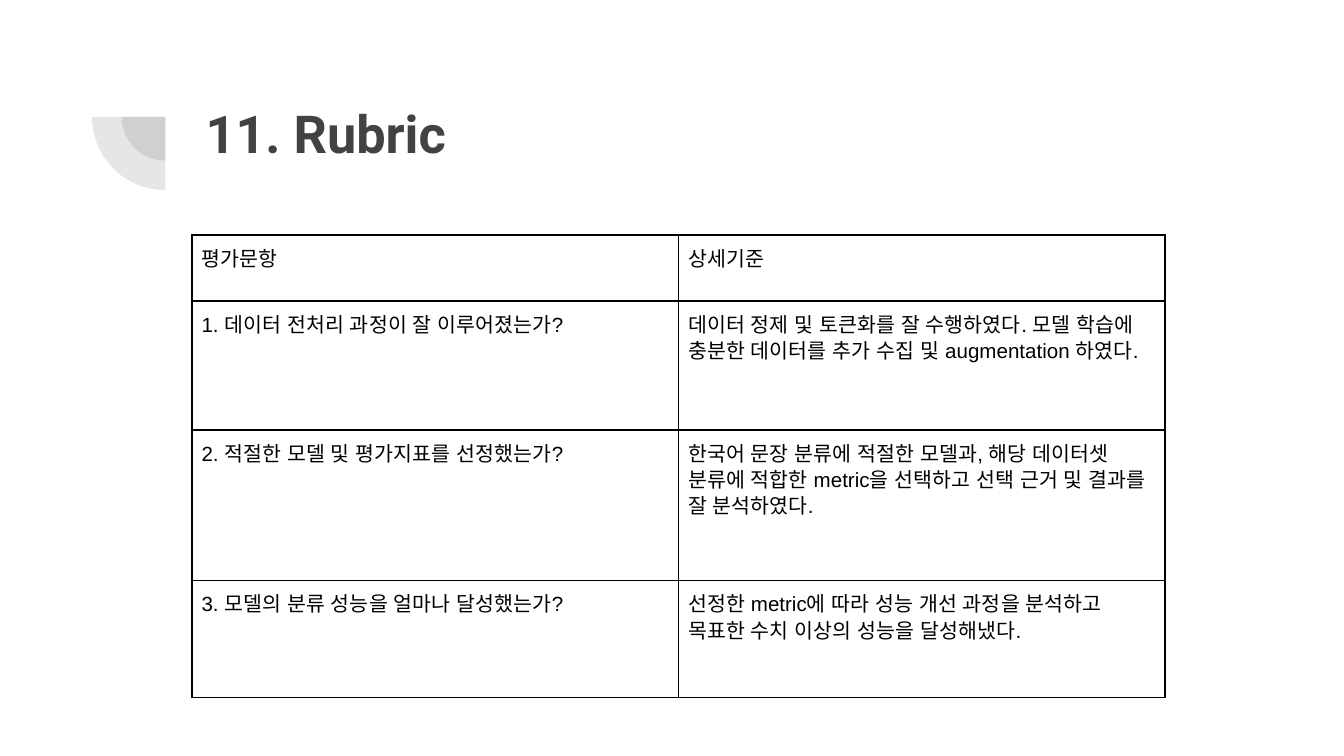
from dataclasses import dataclass

from lxml import etree
from pptx import Presentation
from pptx import util as u
from pptx.dml.color import RGBColor
from pptx.enum import shapes, text
from pptx.oxml.ns import qn


@dataclass(frozen=True)
class Theme:
    dark: RGBColor = RGBColor(0x42, 0x42, 0x42)
    ink: RGBColor = RGBColor(0, 0, 0)
    title_font: str = "Roboto"
    body_font: str = "Arial"
    title_size: int = 28
    body_size: int = 11
    line_spacing: float = 1.15
    border_width: int = 1
    ornament_alpha: int = 13  # percent


class SlideBuilder:
    def __init__(self, slide, theme):
        self.slide = slide
        self.theme = theme

    def style(self, paragraph, font, size, color, bold=False):
        paragraph.font.name = font
        paragraph.font.size = u.Pt(size)
        paragraph.font.color.rgb = color
        paragraph.font.bold = bold
        # The same face for Hangul
        defaults = paragraph._p.pPr.find(qn("a:defRPr"))
        etree.SubElement(defaults, qn("a:ea"), typeface=font)

    def title(self, wording, left, top, width, height):
        heading = self.slide.shapes.title
        heading.left, heading.top = u.Inches(left), u.Inches(top)
        heading.width, heading.height = u.Inches(width), u.Inches(height)
        frame = heading.text_frame
        frame.text = wording
        frame.word_wrap = True
        frame.vertical_anchor = text.MSO_ANCHOR.TOP
        frame.margin_left = frame.margin_right = u.Inches(0.1)
        frame.margin_top = frame.margin_bottom = u.Inches(0.1)
        line = frame.paragraphs[0]
        line.alignment = text.PP_ALIGN.LEFT
        self.style(line, self.theme.title_font, self.theme.title_size,
                   self.theme.dark, bold=True)

    def quarter_disc(self, center_x, center_y, diameter):
        """Translucent lower-left quarter of a disc."""
        disc = self.slide.shapes.add_shape(
            shapes.MSO_SHAPE.PIE,
            u.Inches(center_x - diameter / 2), u.Inches(center_y - diameter / 2),
            u.Inches(diameter), u.Inches(diameter))
        disc.adjustments[0], disc.adjustments[1] = 108, 162  # 180 to 270 degrees
        disc.rotation = 270
        disc.shadow.inherit = False
        disc.line.fill.background()
        disc.fill.solid()
        disc.fill.fore_color.rgb = self.theme.dark
        color = disc.fill._xPr.find(f".//{qn('a:srgbClr')}")
        etree.SubElement(color, qn("a:alpha"),
                         val=str(self.theme.ornament_alpha * 1000))

    def cell(self, cell, wording):
        cell.text = wording
        cell.margin_left = cell.margin_right = u.Inches(0.07)
        cell.margin_top = cell.margin_bottom = u.Inches(0.07)
        line = cell.text_frame.paragraphs[0]
        line.line_spacing = self.theme.line_spacing
        self.style(line, self.theme.body_font, self.theme.body_size, self.theme.ink)
        # Borders come before the fill in the cell properties
        properties = cell._tc.get_or_add_tcPr()
        for side in ("a:lnL", "a:lnR", "a:lnT", "a:lnB"):
            border = etree.SubElement(properties, qn(side),
                                      w=str(u.Pt(self.theme.border_width)))
            paint = etree.SubElement(border, qn("a:solidFill"))
            etree.SubElement(paint, qn("a:srgbClr"), val=str(self.theme.ink))
        cell.fill.background()

    def table(self, rows, left, top, column_widths, row_heights):
        grid = self.slide.shapes.add_table(
            len(rows), len(column_widths), u.Inches(left), u.Inches(top),
            u.Inches(sum(column_widths)), u.Inches(sum(row_heights))).table
        grid.first_row = grid.horz_banding = False
        for column, width in zip(grid.columns, column_widths):
            column.width = u.Inches(width)
        for row, height, wordings in zip(grid.rows, row_heights, rows):
            row.height = u.Inches(height)
            for cell, wording in zip(row.cells, wordings):
                self.cell(cell, wording)


RUBRIC = [
    ("평가문항", "상세기준"),
    ("1. 데이터 전처리 과정이 잘 이루어졌는가?",
     "데이터 정제 및 토큰화를 잘 수행하였다. 모델 학습에 충분한 데이터를 "
     "추가 수집 및 augmentation 하였다."),
    ("2. 적절한 모델 및 평가지표를 선정했는가?",
     "한국어 문장 분류에 적절한 모델과, 해당 데이터셋 분류에 적합한 metric을 "
     "선택하고 선택 근거 및 결과를 잘 분석하였다."),
    ("3. 모델의 분류 성능을 얼마나 달성했는가?",
     "선정한 metric에 따라 성능 개선 과정을 분석하고 목표한 수치 이상의 "
     "성능을 달성해냈다."),
]


def main():
    deck = Presentation()
    deck.slide_width = u.Inches(10)
    deck.slide_height = u.Inches(10 * 9 / 16)  # widescreen
    title_only = deck.slide_layouts[5]
    builder = SlideBuilder(deck.slides.add_slide(title_only), Theme())

    # Corner ornament: two concentric quarter discs
    for diameter in (0.65, 1.09):
        builder.quarter_disc(1.23, 0.87, diameter)

    # Heading
    builder.title("11. Rubric", 1.43, 0.65, 7.69, 1.09)

    # Rubric table
    builder.table(RUBRIC, 1.43, 1.75, column_widths=(3.62, 3.62),
                  row_heights=(0.49, 0.96, 1.12, 0.87))

    deck.save("out.pptx")


if __name__ == "__main__":
    main()
